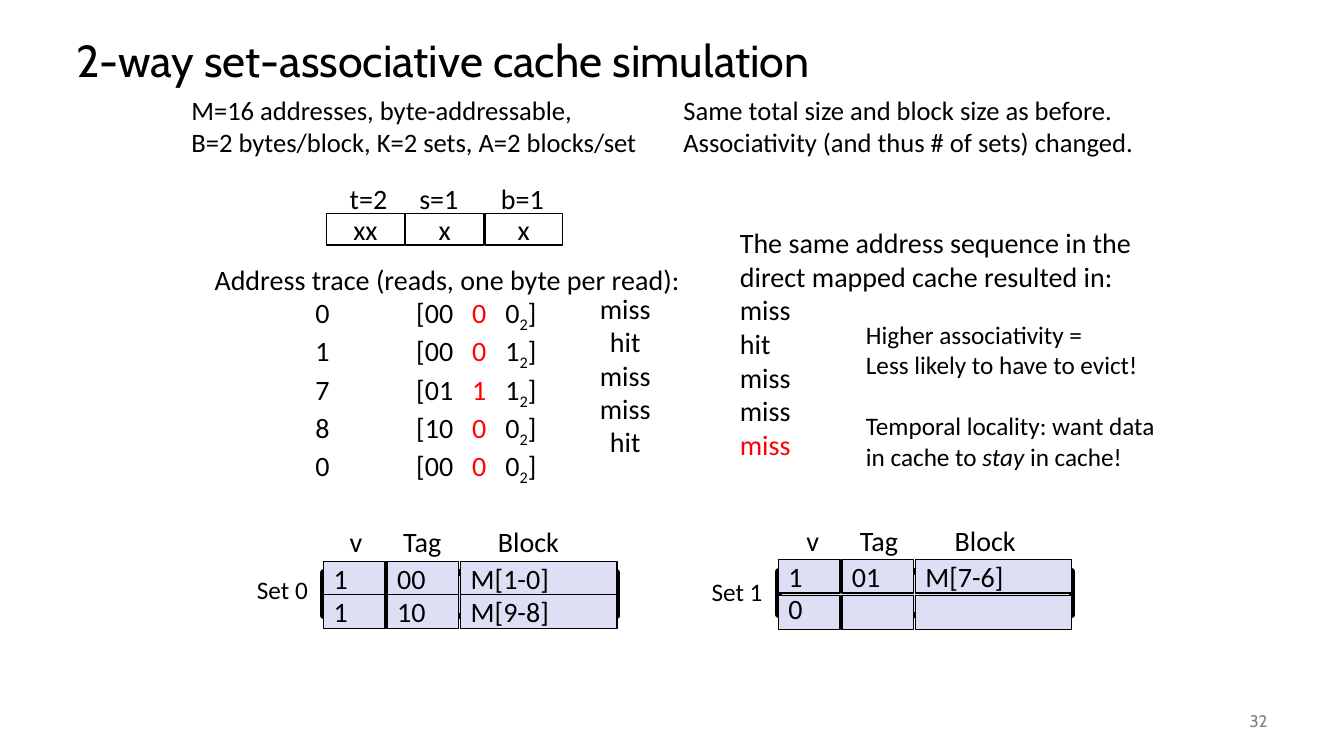
"""Build the slide that simulates a 2-way set-associative cache."""
from dataclasses import dataclass, field

from lxml import etree
from pptx import Presentation
from pptx.dml.color import RGBColor
from pptx.enum.shapes import MSO_SHAPE
from pptx.enum.text import MSO_ANCHOR, PP_ALIGN
from pptx.oxml.ns import qn
from pptx.shapes.autoshape import Shape
from pptx.slide import Slide
from pptx.util import Inches, Length, Pt

RECTANGLE = MSO_SHAPE.RECTANGLE
TOP, MIDDLE = MSO_ANCHOR.TOP, MSO_ANCHOR.MIDDLE
LEFT, CENTER, RIGHT = PP_ALIGN.LEFT, PP_ALIGN.CENTER, PP_ALIGN.RIGHT

GRID_COLUMNS, GRID_ROWS = 133.3, 75


@dataclass(frozen=True)
class Theme:
    """Colours, fonts and type sizes of the slide."""
    ink: RGBColor = RGBColor(0x00, 0x00, 0x00)
    accent: RGBColor = RGBColor(0xFF, 0x00, 0x00)
    muted: RGBColor = RGBColor(0x80, 0x80, 0x80)
    paper: RGBColor = RGBColor(0xFF, 0xFF, 0xFF)
    cell: RGBColor = RGBColor(0xDE, 0xDF, 0xF5)
    heading_font: str = "Cabin"
    body_font: str = "Calibri"
    title: int = 32
    body: int = 20
    intro: int = 19
    remark: int = 18
    number: int = 12


THEME = Theme()


@dataclass(frozen=True)
class Area:
    """A rectangle measured in grid columns and rows."""
    column: float
    row: float
    columns: float
    rows: float


@dataclass(frozen=True)
class Style:
    """How the text of one box is set."""
    size: int = THEME.body
    font: str = THEME.body_font
    color: RGBColor = THEME.ink
    align: PP_ALIGN = LEFT
    anchor: MSO_ANCHOR = TOP
    wrap: bool = False
    leading: float = 1.0


@dataclass(frozen=True)
class Span:
    """A stretch of text with one look."""
    text: str
    color: RGBColor | None = None
    italic: bool = False
    subscript: bool = False


@dataclass(frozen=True)
class Para:
    """A paragraph; a newline span breaks the line."""
    spans: list[Span]
    space_before: int = 0
    tabs: list[float] = field(default_factory=list)


@dataclass(frozen=True)
class CacheSet:
    """One set of the cache and where its parts stand."""
    name: str
    column: float
    heading_column: float
    heading_row: float
    label_row: float
    frame_row: float
    line_rows: list[float]
    lines: list[list[str]]


def span_of_columns(count: float) -> Length:
    """Turn grid columns into a length."""
    return Inches(count * 13.33 / GRID_COLUMNS)


def span_of_rows(count: float) -> Length:
    """Turn grid rows into a length."""
    return Inches(count * 7.5 / GRID_ROWS)


def plain(*lines: str) -> list[Para]:
    """Make one plain paragraph of each line."""
    return [Para([Span(line)]) for line in lines]


def write(box: Shape, paras: list[Para], style: Style) -> None:
    """Fill a box with paragraphs, run by run."""
    frame = box.text_frame
    frame.word_wrap = style.wrap
    frame.vertical_anchor = style.anchor
    for index, para in enumerate(paras):
        target = frame.paragraphs[0] if index == 0 else frame.add_paragraph()
        target.alignment = style.align
        target.line_spacing = style.leading
        target.space_before = Pt(para.space_before)
        if para.tabs:
            stops = etree.SubElement(target._p.get_or_add_pPr(), qn("a:tabLst"))
            for stop in para.tabs:
                etree.SubElement(stops, qn("a:tab"), pos=str(span_of_columns(stop)), algn="l")
        for span in para.spans:
            if span.text == "\n":
                target.add_line_break()
                continue
            run = target.add_run()
            run.text = span.text
            run.font.name = style.font
            run.font.size = Pt(style.size)
            run.font.color.rgb = span.color or style.color
            if span.italic:
                run.font.italic = True
            if span.subscript:
                run._r.get_or_add_rPr().set("baseline", "-25000")


def place(area: Area) -> tuple[Length, Length, Length, Length]:
    """Give the left, top, width and height of an area."""
    return (span_of_columns(area.column), span_of_rows(area.row),
            span_of_columns(area.columns), span_of_rows(area.rows))


def add_text(page: Slide, area: Area, paras: list[Para], style: Style = Style()) -> None:
    """Add a text box."""
    write(page.shapes.add_textbox(*place(area)), paras, style)


def add_cell(page: Slide, area: Area, fill: RGBColor, text: str = "",
             style: Style = Style(anchor=MIDDLE), line_width: float = 1) -> None:
    """Add an outlined rectangle with optional text."""
    box = page.shapes.add_shape(RECTANGLE, *place(area))
    box.shadow.inherit = False
    box.fill.solid()
    box.fill.fore_color.rgb = fill
    box.line.color.rgb = THEME.ink
    box.line.width = Pt(line_width)
    if text:
        write(box, plain(text), style)


def add_cache_set(page: Slide, group: CacheSet) -> None:
    """Draw the headings, label and lines of one cache set."""
    add_cell(page, Area(group.column, group.frame_row, 29.1, 4.3), THEME.cell, line_width=4.5)
    for heading, offset, width in (("v", 0, 3.3), ("Tag", 5.3, 5.9), ("Block", 14.7, 8.3)):
        add_text(page, Area(group.heading_column + offset, group.heading_row, width, 4.3), plain(heading))
    for row, values in zip(group.line_rows, group.lines):
        style = Style(anchor=MIDDLE, leading=1.0 if values[1] else 0.65)
        for value, offset, width in zip(values, (0, 6.3, 13.6), (6.1, 7.1, 15.5)):
            add_cell(page, Area(group.column + offset, row, width, 3.35), THEME.cell, value, style)
    add_text(page, Area(group.column - 7.6, group.label_row, 7.2, 4), plain(group.name), Style(THEME.remark))


def trace_line(address: str, tag: str, index: str, offset: str) -> Para:
    """Describe one read with its address split into bits."""
    return Para([Span(f"\t{address}\t[{tag}\t"), Span(f"{index}\t", THEME.accent), Span(offset),
                 Span("2", subscript=True), Span("]")], tabs=[10, 20, 25.55, 28.85])


ADDRESS_FIELDS = [("t=2", 33.7, 5.8, "xx"), ("s=1", 40.6, 6.1, "x"), ("b=1", 48.7, 6.4, "x")]
READS = [("0", "00", "0", "0"), ("1", "00", "0", "1"), ("7", "01", "1", "1"),
         ("8", "10", "0", "0"), ("0", "00", "0", "0")]
RESULTS = ["miss", "hit", "miss", "miss", "hit"]
CACHE_SETS = [
    CacheSet("Set 0", 32.1, 33.7, 51.5, 56.5, 56.8, [55.7, 59],
             [["1", "00", "M[1-0]"], ["1", "10", "M[9-8]"]]),
    CacheSet("Set 1", 77.2, 79, 51.4, 56.7, 56.7, [55.5, 59.1],
             [["1", "01", "M[7-6]"], ["0", "", ""]]),
]


def main() -> None:
    """Build and save the deck."""
    deck = Presentation()
    deck.slide_width, deck.slide_height = span_of_columns(GRID_COLUMNS), span_of_rows(GRID_ROWS)
    page = deck.slides.add_slide(deck.slide_layouts[6])

    add_text(page, Area(6.6, 2.5, 120, 7.5), plain("2-way set-associative cache simulation"),
             Style(THEME.title, THEME.heading_font, anchor=MIDDLE, wrap=True, leading=0.9))
    add_text(page, Area(18, 8.8, 47.8, 7.4), plain(
        "M=16 addresses, byte-addressable,", "B=2 bytes/block, K=2 sets, A=2 blocks/set"), Style(THEME.intro))
    add_text(page, Area(66.8, 8.8, 48.3, 7.4), plain(
        "Same total size and block size as before.",
        "Associativity (and thus # of sets) changed."), Style(THEME.intro))

    for index, (label, column, width, bits) in enumerate(ADDRESS_FIELDS):
        add_text(page, Area(column, 17.5, width, 4.3), plain(label))
        add_cell(page, Area(32.4 + 7.85 * index, 21.2, 7.7, 3.1), THEME.paper, bits,
                 Style(align=CENTER, anchor=MIDDLE))

    add_text(page, Area(20.3, 25.5, 50, 21.2), plain("Address trace (reads, one byte per read):")
             + [trace_line(*read) for read in READS], Style(wrap=True))
    for index, result in enumerate(RESULTS):
        add_text(page, Area(58.4, 29.5 + 3.3 * index, 7.2, 3.4), plain(result),
                 Style(align=CENTER, leading=0.65))

    add_text(page, Area(72.4, 21.9, 44, 24.5), [
        Para([Span("The same address sequence in the"), Span("\n"), Span("direct mapped cache resulted in:")]),
        *plain(*RESULTS[:-1]), Para([Span("miss", THEME.accent)])], Style(wrap=True))
    add_text(page, Area(84.9, 31.2, 31.7, 16.2), [
        *plain("Higher associativity =", "Less likely to have to evict!"),
        Para([Span("Temporal locality: want data"), Span("\n"), Span("in cache to "),
              Span("stay", italic=True), Span(" in cache!")], space_before=22)], Style(THEME.remark))

    for group in CACHE_SETS:
        add_cache_set(page, group)
    add_text(page, Area(116.7, 69.5, 10, 4), plain("32"),
             Style(THEME.number, THEME.heading_font, THEME.muted, RIGHT, MIDDLE, True))
    deck.save("out.pptx")


if __name__ == "__main__":
    main()
